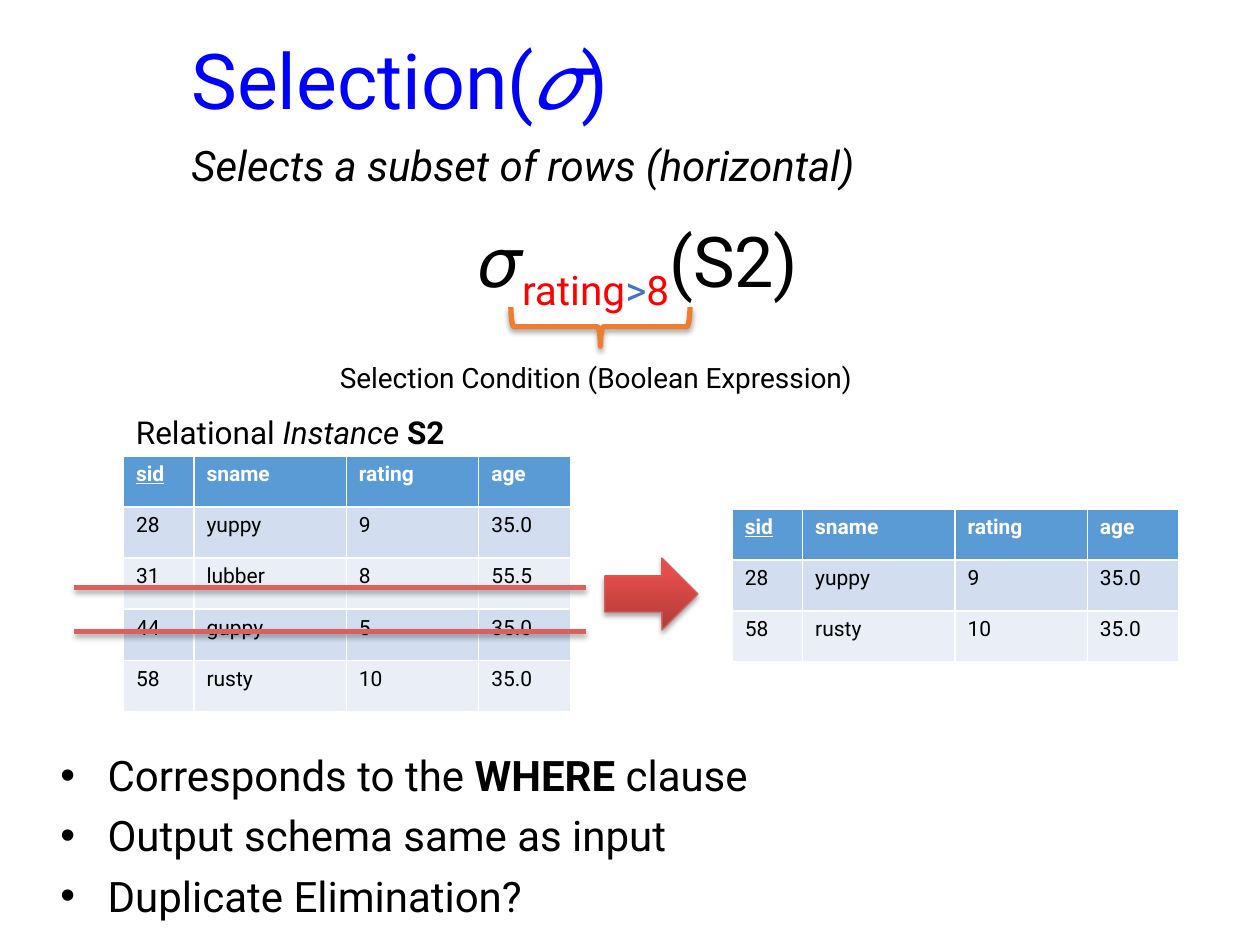
from lxml.etree import SubElement
from pptx import Presentation
from pptx.dml.color import RGBColor
from pptx.enum.shapes import MSO_CONNECTOR, MSO_SHAPE
from pptx.enum.text import MSO_ANCHOR
from pptx.oxml.ns import qn
from pptx.util import Cm, Pt

BLACK, RED, BLUE = "000000", "FF0000", "0000FF"
ITALIC, BOLD, SUBSCRIPT = {"italic": True}, {"bold": True}, {"baseline": -25000}

TITLE = [[("Selection(", {}), ("𝜎", {"font": "Lato", **ITALIC}), (")", {})]]
SUBTITLE = [[("Selects a subset of rows (horizontal)", ITALIC)]]
FORMULA = [[
    ("𝜎", {"font": "Arial"}),
    ("rating", {"color": RED, **SUBSCRIPT}),
    (">", {"color": "4472C4", **SUBSCRIPT}),
    ("8", {"color": RED, **SUBSCRIPT}),
    ("(S2)", {}),
]]
CONDITION = [[("Selection Condition (Boolean Expression)", {})]]
INSTANCE = [[("Relational ", {}), ("Instance ", ITALIC), ("S2", BOLD)]]
NOTES = [
    [("Corresponds to the ", {}), ("WHERE", BOLD), (" clause", {})],
    [("Output schema same as input", {})],
    [("Duplicate Elimination?", {})],
]

HEADER = ("sid", "sname", "rating", "age")
SAILORS = [
    (28, "yuppy", 9, "35.0"),
    (31, "lubber", 8, "55.5"),
    (44, "guppy", 5, "35.0"),
    (58, "rusty", 10, "35.0"),
]
SELECTED = [sailor for sailor in SAILORS if sailor[2] > 8]
COLUMN_WIDTHS = (1.42, 3.07, 2.67, 1.85)
ROW_HEIGHT = 1.03
HEADER_FILL, BAND_FILLS = "5B9BD5", ("D2DEEF", "EAEFF7")
STRIKE_HEIGHTS = (11.84, 12.73)


def rgb(value):
    return RGBColor.from_string(value)


def format_run(run, size, color=BLACK, font="Roboto", bold=False, italic=False, baseline=0):
    run.font.size = Pt(size)
    run.font.name = font
    run.font.color.rgb = rgb(color)
    run.font.bold = bold
    run.font.italic = italic
    if baseline:
        run.font._element.set("baseline", str(baseline))


def add_text(slide, box, paragraphs, size, color=BLACK, wrap=False):
    frame = slide.shapes.add_textbox(*map(Cm, box)).text_frame
    frame.word_wrap = wrap
    for index, parts in enumerate(paragraphs):
        paragraph = frame.paragraphs[0] if index == 0 else frame.add_paragraph()
        for text, style in parts:
            run = paragraph.add_run()
            run.text = text
            format_run(run, size, **{"color": color, **style})
    return frame


def add_bullets(frame):
    for paragraph in frame.paragraphs:
        paragraph.space_before = Pt(5.6)
        properties = paragraph._p.get_or_add_pPr()
        properties.set("marL", str(Cm(0.95)))
        properties.set("indent", str(-Cm(0.95)))
        SubElement(properties, qn("a:buFont"), typeface="Arial")
        SubElement(properties, qn("a:buChar"), char="•")


def add_relation(slide, left, top, sailors):
    rows = [HEADER, *sailors]
    table = slide.shapes.add_table(
        len(rows), len(HEADER), Cm(left), Cm(top),
        Cm(sum(COLUMN_WIDTHS)), Cm(ROW_HEIGHT * len(rows)),
    ).table
    for column, width in zip(table.columns, COLUMN_WIDTHS):
        column.width = Cm(width)
    for row_index, values in enumerate(rows):
        is_header = row_index == 0
        fill = HEADER_FILL if is_header else BAND_FILLS[(row_index - 1) % 2]
        for column_index, value in enumerate(values):
            cell = table.cell(row_index, column_index)
            cell.fill.solid()
            cell.fill.fore_color.rgb = rgb(fill)
            cell.text_frame.text = str(value)
            run = cell.text_frame.paragraphs[0].runs[0]
            format_run(run, 12, "FFFFFF" if is_header else BLACK, bold=is_header)
            run.font.underline = is_header and column_index == 0


def outline(shape, color, width):
    shape.line.color.rgb = rgb(color)
    shape.line.width = Pt(width)
    effects = SubElement(shape._element.spPr, qn("a:effectLst"))
    shadow = SubElement(
        effects, qn("a:outerShdw"), blurRad=str(Pt(3.1)), dist=str(Pt(1.8)),
        dir="5400000", rotWithShape="0",
    )
    shadow_color = SubElement(shadow, qn("a:srgbClr"), val=BLACK)
    SubElement(shadow_color, qn("a:alpha"), val="35000")


def add_arrow(slide):
    arrow = slide.shapes.add_shape(
        MSO_SHAPE.RIGHT_ARROW, Cm(12.19), Cm(11.25), Cm(1.88), Cm(1.45))
    arrow.fill.gradient()
    arrow.fill.gradient_angle = 90
    stops = [(0, "B03B39"), (0.8, "E44D4A")]
    for stop, (position, color) in zip(arrow.fill.gradient_stops, stops):
        stop.position = position
        stop.color.rgb = rgb(color)
    outline(arrow, "D75C5A", 0.75)


def add_brace(slide):
    brace = slide.shapes.add_shape(
        MSO_SHAPE.LEFT_BRACE, Cm(11.71), Cm(4.78), Cm(0.79), Cm(3.61))
    brace.rotation = 270
    brace.fill.background()
    outline(brace, "ED7D31", 3)


def main():
    presentation = Presentation()
    presentation.slide_width, presentation.slide_height = Cm(25.4), Cm(19.05)
    slide = presentation.slides.add_slide(presentation.slide_layouts[6])

    title = add_text(slide, (3.61, 0, 19.89, 3.18), TITLE, 44, BLUE, wrap=True)
    title.vertical_anchor = MSO_ANCHOR.MIDDLE
    add_bullets(add_text(slide, (0.97, 14.99, 22.53, 3), NOTES, 24, wrap=True))
    add_text(slide, (3.61, 2.69, 14.3, 1.27), SUBTITLE, 24)
    add_text(slide, (9.42, 4.27, 7.49, 1.96), FORMULA, 40)
    add_relation(slide, 2.49, 9.19, SAILORS)
    add_arrow(slide)
    add_text(slide, (2.49, 8.2, 6.93, 1.02), INSTANCE, 18)
    add_text(slide, (6.6, 7.14, 11.02, 0.94), CONDITION, 16)
    add_brace(slide)
    add_relation(slide, 14.76, 10.26, SELECTED)
    for height in STRIKE_HEIGHTS:
        strike = slide.shapes.add_connector(
            MSO_CONNECTOR.STRAIGHT, Cm(1.5), Cm(height), Cm(11.81), Cm(height))
        outline(strike, "D9615F", 3)

    presentation.save("out.pptx")


if __name__ == "__main__":
    main()
